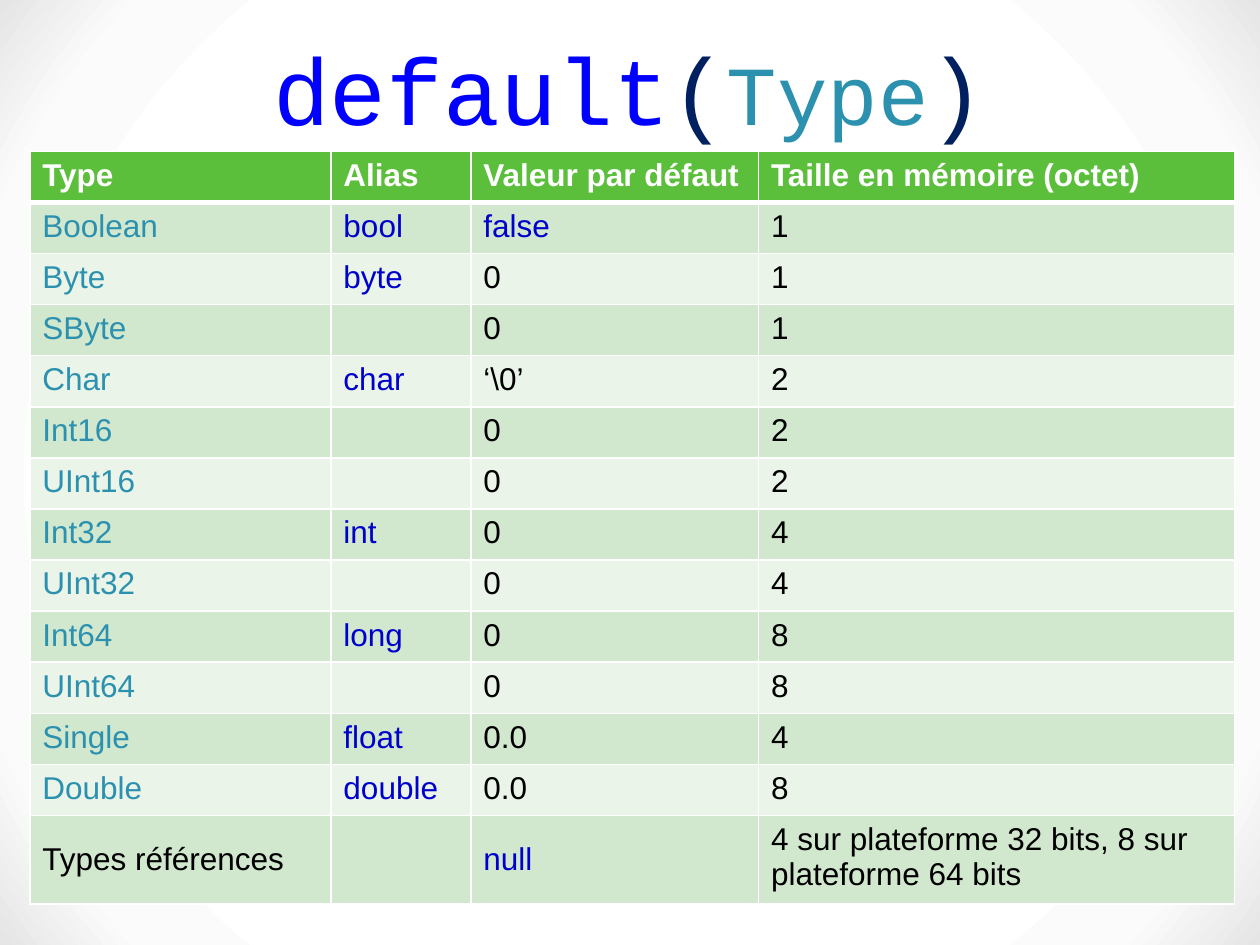
from pptx import Presentation
from pptx.dml.color import RGBColor as RGB
from pptx.enum.text import MSO_ANCHOR as ANCHOR, PP_ALIGN as ALIGN
from pptx.oxml import parse_xml
from pptx.oxml.ns import nsdecls, qn
from pptx.util import Cm, Pt
from lxml.etree import SubElement

TITLE = [("default", "keyword", 54), ("(", "paren", 54),
         ("Type", "type", 48), (")", "paren", 54)]
HEADER = ("Type", "Alias", "Valeur par défaut", "Taille en mémoire (octet)")
ROWS = [
    ("Boolean", "bool", "false", "1"),
    ("Byte", "byte", "0", "1"),
    ("SByte", "", "0", "1"),
    ("Char", "char", "‘\\0’", "2"),
    ("Int16", "", "0", "2"),
    ("UInt16", "", "0", "2"),
    ("Int32", "int", "0", "4"),
    ("UInt32", "", "0", "4"),
    ("Int64", "long", "0", "8"),
    ("UInt64", "", "0", "8"),
    ("Single", "float", "0.0", "4"),
    ("Double", "double", "0.0", "8"),
    ("Types références", "", "null", "4 sur plateforme 32 bits, 8 sur plateforme 64 bits"),
]
COL_WIDTHS = (6.07, 2.82, 5.8, 9.6)
ROW_H, LAST_ROW_H = 1.03, 1.67
THEME = {
    "title_font": "Courier New", "body_font": "Arial",
    "body_size": 18, "title_line": 58,
    "keyword": "0000FF", "paren": "002060", "type": "2B91AF",
    "alias": "0000CC", "text": "000000", "white": "FFFFFF",
    "header": "5CBF3C", "bands": ("D2E8CE", "EAF4E8"),
    "background": ((0, "FFFFFF"), (68, "FFFFFF"), (86, "FBFBFB"), (100, "E5E5E5")),
}


def add_text(p, text, font=THEME["body_font"], size=THEME["body_size"],
             color=THEME["text"], bold=False, highlight=None):
    r = p.add_run()
    r.text = text
    r.font.size, r.font.bold = Pt(size), bold
    r.font.color.rgb = RGB.from_string(color)
    if highlight:
        mark = SubElement(r.font._element, qn("a:highlight"))
        SubElement(mark, qn("a:srgbClr"), val=highlight)
    r.font.name = font


def set_background(s):
    stops = "".join(f'<a:gs pos="{pos * 1000}"><a:srgbClr val="{color}"/></a:gs>'
                    for pos, color in THEME["background"])
    s._element.cSld.insert(0, parse_xml(
        f'<p:bg {nsdecls("p", "a")}><p:bgPr><a:gradFill rotWithShape="1">'
        f'<a:gsLst>{stops}</a:gsLst><a:path path="circle">'
        '<a:fillToRect l="50000" t="50000" r="50000" b="50000"/></a:path>'
        '</a:gradFill><a:effectLst/></p:bgPr></p:bg>'))


def set_borders(cell, **widths):
    for side in "LRTB":
        ln = SubElement(cell._tc.get_or_add_tcPr(), qn(f"a:ln{side}"),
                        w=str(Pt(widths.get(side, 1))))
        fill = SubElement(ln, qn("a:solidFill"))
        SubElement(fill, qn("a:srgbClr"), val=THEME["white"])


def text_color(row, col, text):
    if row == 0:
        return THEME["white"]
    if col == 1 or text in ("false", "null"):
        return THEME["alias"]
    return THEME["type"] if col == 0 and row < len(ROWS) else THEME["text"]


def add_title(s):
    tf = s.shapes.add_textbox(Cm(1.09), Cm(0.53), Cm(23.19), Cm(2.51)).text_frame
    tf.word_wrap, tf.vertical_anchor = True, ANCHOR.BOTTOM
    p = tf.paragraphs[0]
    p.alignment, p.line_spacing = ALIGN.CENTER, Pt(THEME["title_line"])
    for text, role, size in TITLE:
        add_text(p, text, font=THEME["title_font"], size=size,
                 color=THEME[role], highlight=THEME["white"])


def add_type_table(s):
    data = [HEADER, *ROWS]
    last = len(ROWS)
    table = s.shapes.add_table(
        len(data), len(HEADER), Cm(0.6), Cm(3.05), Cm(sum(COL_WIDTHS)),
        Cm(ROW_H * last + LAST_ROW_H)).table
    for col, width in zip(table.columns, COL_WIDTHS):
        col.width = Cm(width)
    for i, values in enumerate(data):
        table.rows[i].height = Cm(LAST_ROW_H if i == last else ROW_H)
        for j, text in enumerate(values):
            cell = table.cell(i, j)
            set_borders(cell, T=3 if i == 1 else 1, B=3 if i == 0 else 1)
            cell.fill.solid()
            cell.fill.fore_color.rgb = RGB.from_string(
                THEME["bands"][(i - 1) % 2] if i else THEME["header"])
            if i == last and j < 3:
                cell.vertical_anchor = ANCHOR.MIDDLE
            if text:
                add_text(cell.text_frame.paragraphs[0], text,
                         color=text_color(i, j, text), bold=i == 0)


def main():
    prs = Presentation()
    prs.slide_width, prs.slide_height = Cm(25.4), Cm(19.05)
    s = prs.slides.add_slide(prs.slide_layouts[6])
    set_background(s)
    add_title(s)
    add_type_table(s)
    prs.save("out.pptx")


if __name__ == "__main__":
    main()
